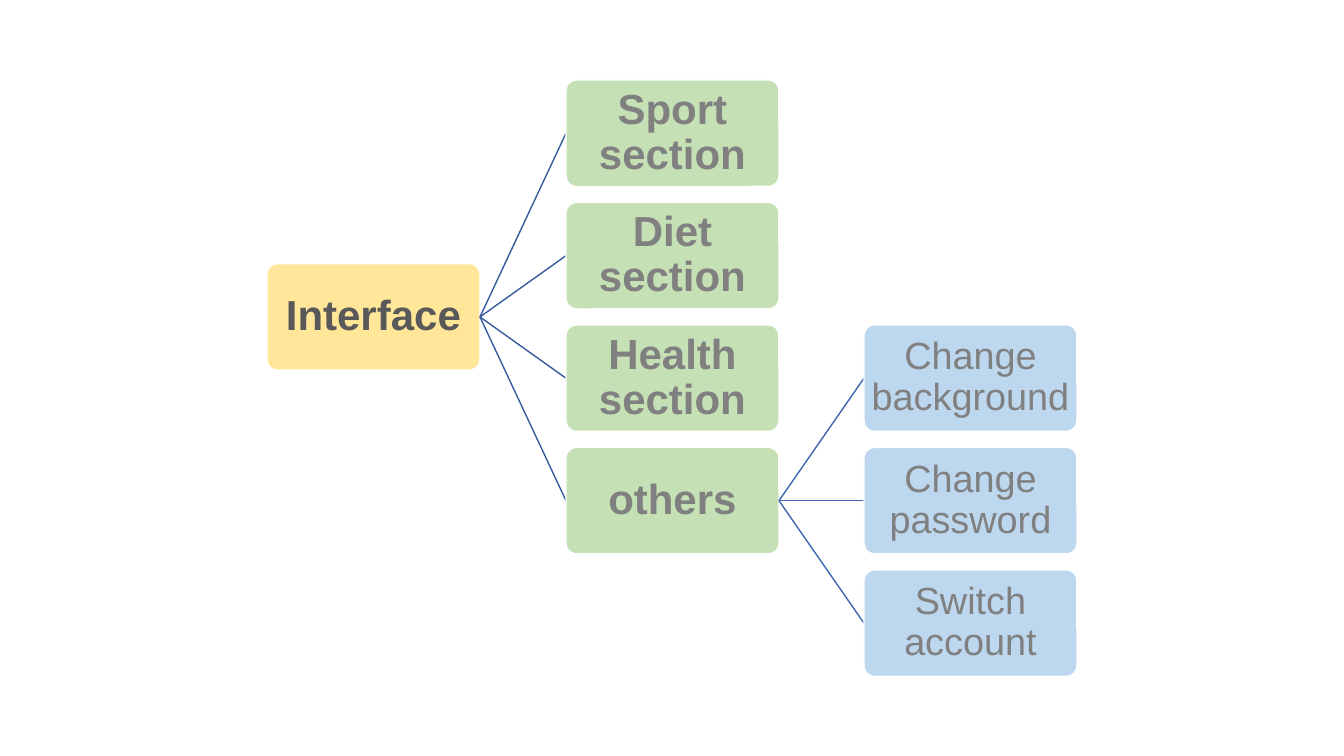
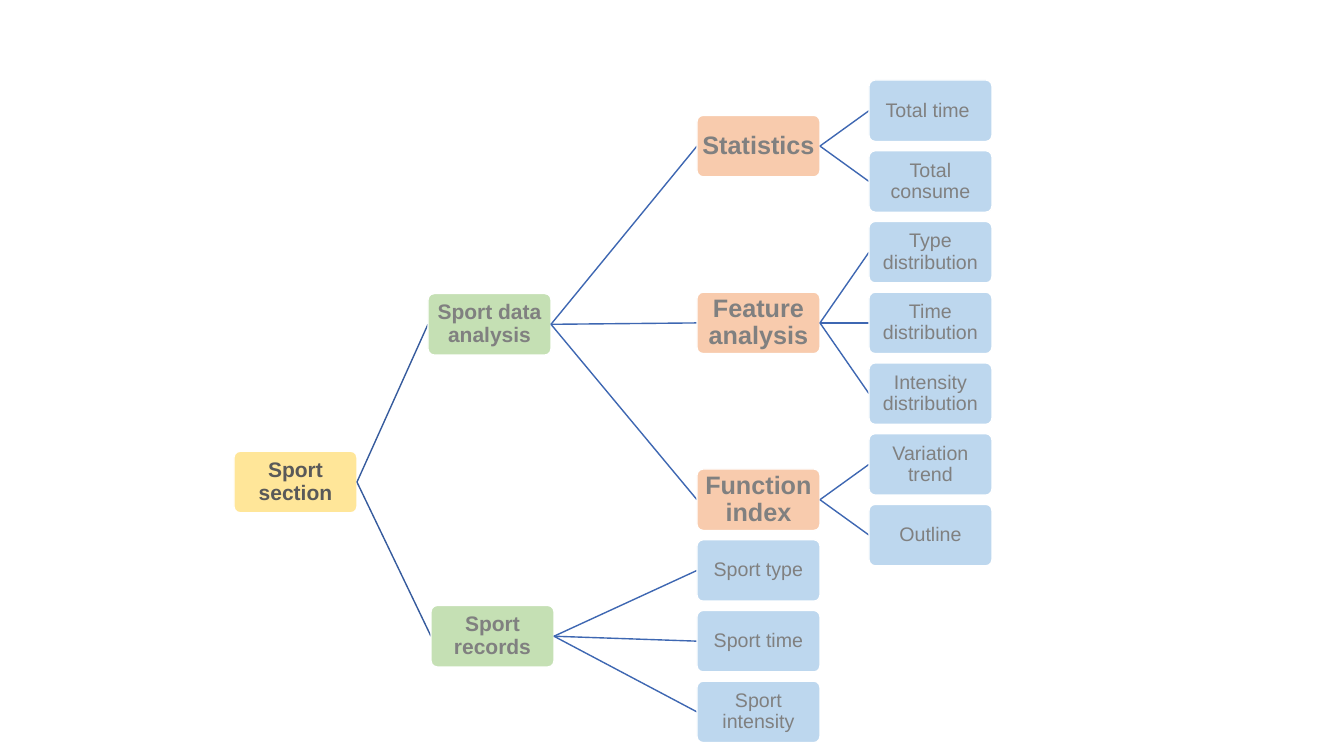
from lxml import etree
from pptx import Presentation
from pptx.dml.color import RGBColor
from pptx.enum.shapes import MSO_CONNECTOR, MSO_SHAPE
from pptx.enum.text import MSO_ANCHOR, PP_ALIGN
from pptx.oxml.ns import qn
from pptx.util import Pt

ROUNDED = MSO_SHAPE.ROUNDED_RECTANGLE
STRAIGHT = MSO_CONNECTOR.STRAIGHT
MIDDLE = MSO_ANCHOR.MIDDLE
CENTER = PP_ALIGN.CENTER
LEFT_SITE, RIGHT_SITE = 1, 3
EMU_PER_PIXEL = 914400 / 100.8

# Shared look: each level has a fill, text colour, weight and link colour
THEME = {
    "font": "Arial",
    "border": "FFFFFF",
    "line_width": 1,
    "corner": 0.1,
    "line_spacing": 0.9,
    "levels": {
        "root": {"fill": "FFE699", "text": "595959", "bold": True, "link": "365B9D"},
        "branch": {"fill": "C5E0B4", "text": "808080", "bold": True, "link": "3E67B2"},
        "group": {"fill": "F8CBAD", "text": "808080", "bold": True, "link": "3E67B2"},
        "leaf": {"fill": "BDD7EE", "text": "808080", "bold": False, "link": "3E67B2"},
    },
    "sizes": {
        "large": {"root": 30, "branch": 30, "leaf": 27},
        "small": {"root": 15, "branch": 15, "group": 18, "leaf": 14},
    },
}

# Box proportions shared by both trees
HEIGHT_RATIO = 0.5
ROW_PITCH = 1.15
FIRST_TOP = 80
INSET = 1

# Nodes: text, parent, level, left, row (a row is one pitch down from the top)
TREES = [
    {
        "scale": "large", "width": 213,
        "nodes": [
            ("Interface", None, "root", 267, 1.5),
            ("Sport section", "Interface", "branch", 566, 0),
            ("Diet section", "Interface", "branch", 566, 1),
            ("Health section", "Interface", "branch", 566, 2),
            ("others", "Interface", "branch", 566, 3),
            ("Change background", "others", "leaf", 864, 2),
            ("Change password", "others", "leaf", 864, 3),
            ("Switch account", "others", "leaf", 864, 4),
        ],
    },
    {
        "scale": "small", "width": 123,
        "nodes": [
            ("Sport section", None, "root", 234, 5.25),
            ("Sport data analysis", "Sport section", "branch", 428, 3.02),
            ("Statistics", "Sport data analysis", "group", 697, 0.5),
            ("Total time ", "Statistics", "leaf", 869, 0),
            ("Total consume", "Statistics", "leaf", 869, 1),
            ("Feature analysis", "Sport data analysis", "group", 697, 3),
            ("Type distribution", "Feature analysis", "leaf", 869, 2),
            ("Time distribution", "Feature analysis", "leaf", 869, 3),
            ("Intensity distribution", "Feature analysis", "leaf", 869, 4),
            ("Function index", "Sport data analysis", "group", 697, 5.5),
            ("Variation trend", "Function index", "leaf", 869, 5),
            ("Outline", "Function index", "leaf", 869, 6),
            ("Sport records", "Sport section", "branch", 431, 7.43),
            ("Sport type", "Sport records", "leaf", 697, 6.5),
            ("Sport time", "Sport records", "leaf", 697, 7.5),
            ("Sport intensity", "Sport records", "leaf", 697, 8.5),
        ],
    },
]


def px(pixels):
    return round(pixels * EMU_PER_PIXEL)


def assign(target, values):
    for name, value in values.items():
        setattr(target, name, value)


deck = Presentation()
assign(deck, {"slide_width": px(1344), "slide_height": px(756)})

for tree in TREES:
    page = deck.slides.add_slide(deck.slide_layouts[6])
    width = tree["width"]
    height = width * HEIGHT_RATIO
    boxes = {}

    for text, parent, level, left, row in tree["nodes"]:
        look = THEME["levels"][level]

        # Link from the parent, placed behind the new box
        link = None
        if parent:
            parent_box, parent_level = boxes[parent]
            link = page.shapes.add_connector(STRAIGHT, 0, 0, 0, 0)
            link.line.color.rgb = RGBColor.from_string(THEME["levels"][parent_level]["link"])
            link.line.width = Pt(THEME["line_width"])
            etree.SubElement(link._element.spPr, qn("a:effectLst"))
            link.begin_connect(parent_box, RIGHT_SITE)

        # Rounded box
        top = FIRST_TOP + row * height * ROW_PITCH
        box = page.shapes.add_shape(ROUNDED, px(left), px(top), px(width), px(height))
        box.adjustments[0] = THEME["corner"]
        box.shadow.inherit = False
        box.fill.solid()
        box.fill.fore_color.rgb = RGBColor.from_string(look["fill"])
        box.line.color.rgb = RGBColor.from_string(THEME["border"])
        box.line.width = Pt(THEME["line_width"])
        boxes[text] = (box, level)
        if link:
            link.end_connect(box, LEFT_SITE)

        # Label
        frame = box.text_frame
        assign(frame, {
            "word_wrap": True, "vertical_anchor": MIDDLE,
            "margin_left": px(INSET), "margin_right": px(INSET),
            "margin_top": px(INSET), "margin_bottom": px(INSET),
        })
        para = frame.paragraphs[0]
        assign(para, {"alignment": CENTER, "line_spacing": THEME["line_spacing"]})
        span = para.add_run()
        span.text = text
        assign(span.font, {
            "name": THEME["font"], "bold": look["bold"],
            "size": Pt(THEME["sizes"][tree["scale"]][level]),
        })
        span.font.color.rgb = RGBColor.from_string(look["text"])

deck.save("out.pptx")
